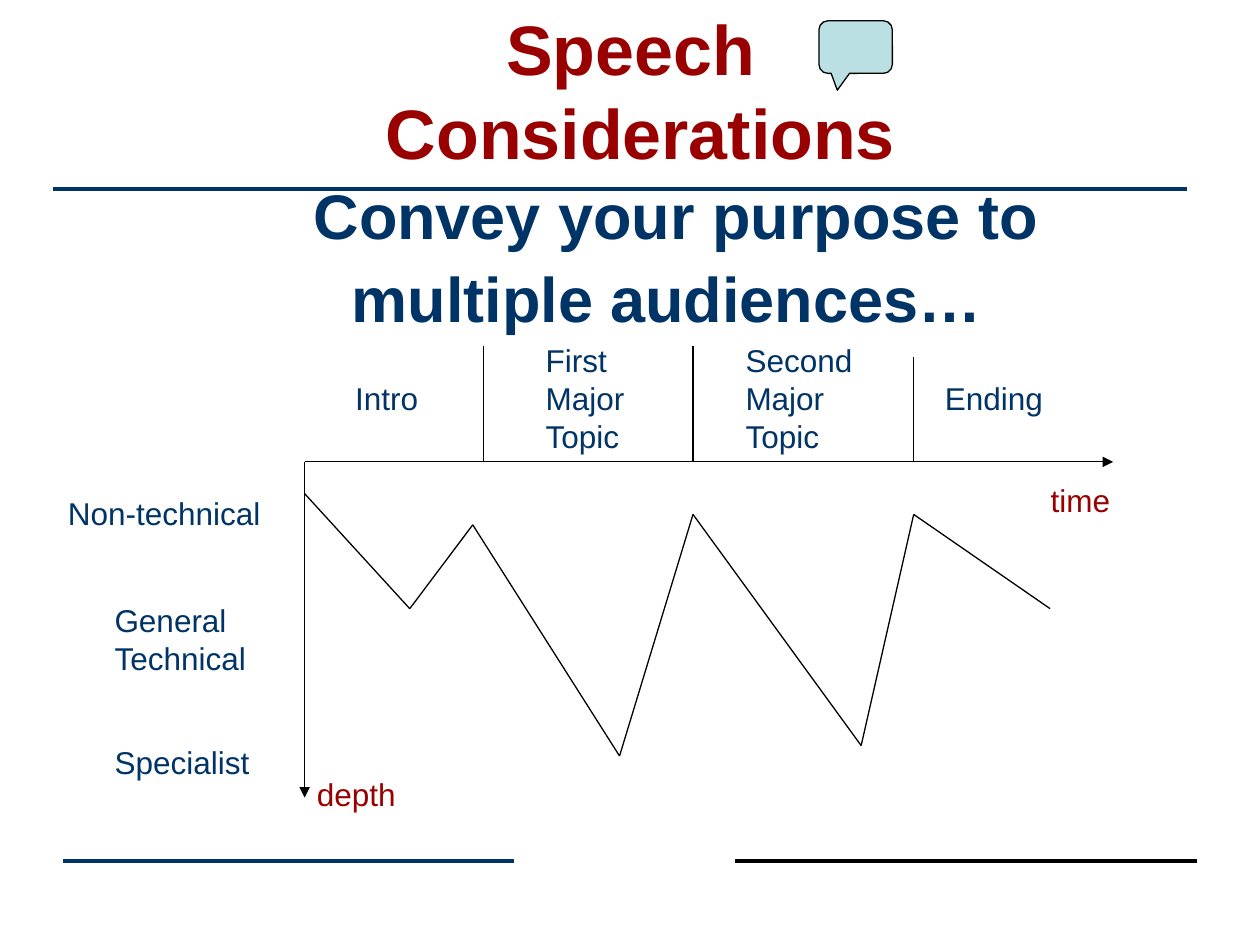
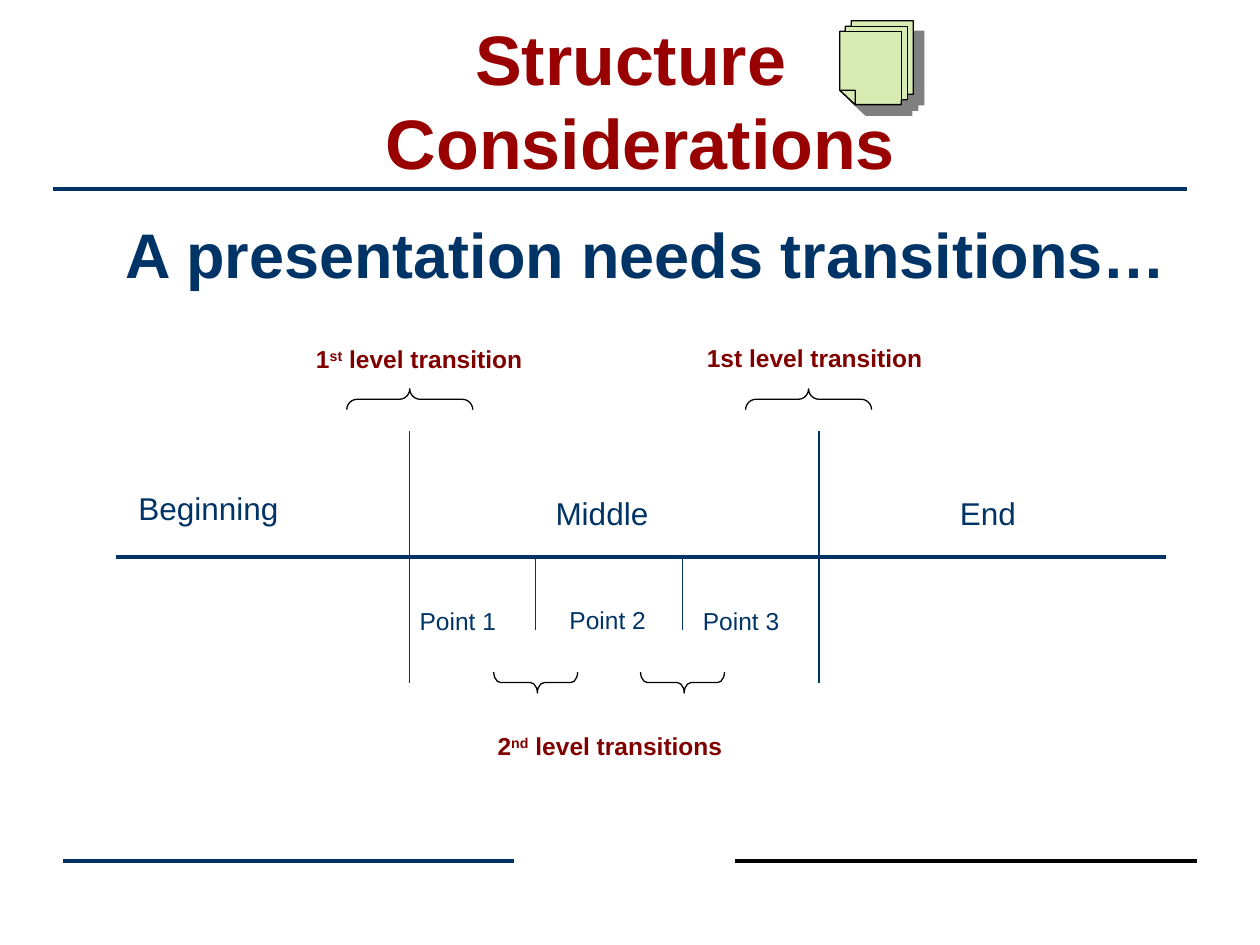
from itertools import pairwise

from lxml import etree
from pptx import Presentation
from pptx.dml.color import RGBColor
from pptx.enum import shapes, text
from pptx.oxml import ns
from pptx.util import Cm, Pt

NAVY = RGBColor(0x00, 0x33, 0x66)
RED = RGBColor(0x99, 0x00, 0x00)
MAROON = RGBColor(0x80, 0x00, 0x00)
BLACK = RGBColor(0x00, 0x00, 0x00)
AQUA = RGBColor(0xBB, 0xE0, 0xE3)
LIME = RGBColor(0xD8, 0xEB, 0xB3)
GREY = RGBColor(0x80, 0x80, 0x80)

FONT = "Arial"
TITLE = dict(size=Pt(40), bold=True, color=RED)
LEAD = dict(size=Pt(36), bold=True, color=NAVY)
LABEL = dict(size=Pt(18), color=NAVY)
AXIS = dict(size=Pt(18), color=RED)
POINT = dict(size=Pt(14), color=NAVY)
SHIFT = dict(size=Pt(14), bold=True, color=MAROON)


def sub(parent, tag, **attrs):
    return etree.SubElement(parent, ns.qn(tag), attrs)


def style(run, form):
    run.font.name = FONT
    for key, val in form.items():
        if key == "color":
            run.font.color.rgb = val
        else:
            setattr(run.font, key, val)


def fill_para(para, line, form):
    """Write one line; text between carets is raised."""
    for i, part in enumerate(line.split("^")):
        for j, row in enumerate(part.split("\n")):
            if j:
                para.add_line_break()
            run = para.add_run()
            run.text = row
            style(run, form)
            if i % 2:
                run._r.get_or_add_rPr().set("baseline", "30000")


def add_text(slide, box, lines, form, wrap=True, **para_form):
    frame = slide.shapes.add_textbox(*map(Cm, box)).text_frame
    frame.word_wrap = wrap
    for i, line in enumerate(lines):
        para = frame.add_paragraph() if i else frame.paragraphs[0]
        for key, val in para_form.items():
            if i or key != "space_before":
                setattr(para, key, val)
        fill_para(para, line, form)
    return frame


def add_label(slide, x, y, w, words, form):
    """Unwrapped text in a box that grows to hold it."""
    lines = words.split("\n")
    h = 0.25 + len(lines) * form["size"].cm * 1.2
    frame = add_text(slide, (x, y, w + 0.05, h), lines, form, wrap=False)
    frame.auto_size = text.MSO_AUTO_SIZE.SHAPE_TO_FIT_TEXT


def add_line(slide, start, end, color=BLACK, width=0.75, arrow=False):
    line = slide.shapes.add_connector(
        shapes.MSO_CONNECTOR.STRAIGHT, *map(Cm, (*start, *end)))
    line.line.color.rgb = color
    line.line.width = Pt(width)
    if arrow:
        sub(line.line._get_or_add_ln(), "a:tailEnd", type="triangle")
    sub(line._element.spPr, "a:effectLst")


def paint(shape, fill=None):
    shape.shadow.inherit = False
    if fill is None:
        shape.fill.background()
    else:
        shape.fill.solid()
        shape.fill.fore_color.rgb = fill
    shape.line.color.rgb = BLACK
    shape.line.width = Pt(0.75)


def add_frame(slide, title, top):
    """Title and the three rules that every slide has."""
    for left, right, y, color in ((1.06, 23.92, 3.81, NAVY),
                                  (1.27, 10.37, 17.36, NAVY),
                                  (14.82, 24.13, 17.36, BLACK)):
        add_line(slide, (left, y), (right, y), color, 2.25)
    frame = add_text(slide, (1.48, top, 22.86, 3.18), [title], TITLE,
                     alignment=text.PP_ALIGN.CENTER)
    frame.vertical_anchor = text.MSO_ANCHOR.MIDDLE


def add_lead(slide, box, lines, spacing=1.0):
    return add_text(slide, box, lines, LEAD, space_before=Pt(9),
                    alignment=text.PP_ALIGN.CENTER, line_spacing=spacing)


def add_bubble(slide, box):
    shape = slide.shapes.add_shape(
        shapes.MSO_SHAPE.ROUNDED_RECTANGULAR_CALLOUT, *map(Cm, box))
    for i, val in enumerate((-0.25, 0.82, 0.17)):
        shape.adjustments[i] = val
    paint(shape, AQUA)


def add_pages(slide, x, y):
    """Stack of three sheets with a folded corner and a shadow."""
    stack = [(0, 1.4), (0, 0.21), (0.11, 0.21), (0.11, 0.11), (0.23, 0.11),
             (0.23, 0), (1.48, 0), (1.48, 1.48), (1.36, 1.48), (1.36, 1.59),
             (1.24, 1.59), (1.24, 1.69), (0.31, 1.69)]
    edges = [(0.23, 0.11), (1.36, 0.11), (1.36, 1.59), (1.24, 1.59),
             (1.24, 0.21), (0.11, 0.21), (0.11, 0.11)]
    fold = [(0, 1.4), (0.31, 1.4), (0.31, 1.69)]
    for outline in (stack, edges, fold):
        first, *rest = [(Cm(x + dx), Cm(y + dy)) for dx, dy in outline]
        pen = slide.shapes.build_freeform(*first)
        pen.add_line_segments(rest, close=True)
        shape = pen.convert_to_shape()
        paint(shape, LIME)
        if outline is stack:
            effects = shape._element.spPr.find(ns.qn("a:effectLst"))
            shade = sub(effects, "a:outerShdw", dist=str(Pt(8.5)),
                        dir="2700000", algn="ctr", rotWithShape="0")
            sub(shade, "a:srgbClr", val=str(GREY))


def add_brace(slide, x, y, length, turn, curve, tip=0.5):
    """Brace lying on its side, centred on x, y."""
    thick = 0.42
    shape = slide.shapes.add_shape(
        shapes.MSO_SHAPE.LEFT_BRACE,
        *map(Cm, (x - thick / 2, y - length / 2, thick, length)))
    shape.rotation = turn
    shape.adjustments[0] = curve
    shape.adjustments[1] = tip
    paint(shape)


def add_depth(slide, box):
    """Time and depth axes with the curve of a talk."""
    x, y, w, h = box
    add_line(slide, (x, y), (x, y + h), arrow=True)
    add_line(slide, (x, y), (x + w, y), arrow=True)
    for dx, rise in ((3.6, 2.33), (7.83, 2.33), (12.28, 2.12)):
        add_line(slide, (x + dx, y), (x + dx, y - rise))
    curve = [(0, 0.64), (2.12, 2.96), (3.39, 1.27), (6.35, 5.93),
             (7.83, 1.06), (11.22, 5.72), (12.28, 1.06), (15.03, 2.96)]
    for start, end in pairwise((x + dx, y + dy) for dx, dy in curve):
        add_line(slide, start, end)
    for dx, dy, width, words, form in (
            (0.77, -1.79, 1.78, "Intro", LABEL),
            (4.61, -2.56, 2.08, "First\nMajor\nTopic", LABEL),
            (8.64, -2.56, 2.67, "Second\nMajor\nTopic", LABEL),
            (12.66, -1.79, 2.49, "Ending", LABEL),
            (-5.02, 0.52, 4.39, "Non-technical", LABEL),
            (-4.08, 2.68, 3.23, "General\nTechnical", LABEL),
            (-4.08, 5.55, 3.23, "Specialist", LABEL),
            (14.79, 0.26, 1.7, "time", AXIS),
            (0, 6.18, 2.08, "depth", AXIS)):
        add_label(slide, x + dx, y + dy, width, words, form)


def add_stages(slide, x, y, w):
    """Line of the talk's parts, with braces at the transitions."""
    add_line(slide, (x, y), (x + w, y), NAVY, 2.25)
    for dx, up, down in ((5.93, 2.54, 2.54), (14.18, 2.54, 2.54),
                         (8.47, 0, 1.48), (11.43, 0, 1.48)):
        add_line(slide, (x + dx, y - up), (x + dx, y + down), NAVY)
    for dx in (5.93, 13.97):
        add_brace(slide, x + dx, y - 3.17, 2.54, 90, 0.5)
    for dx in (8.47, 11.43):
        add_brace(slide, x + dx, y + 2.54, 1.69, 270, 0.33, 0.52)
    for dx, dy, width, words, form in (
            (0.21, -1.49, 3.33, "Beginning", LABEL),
            (8.62, -1.39, 2.36, "Middle", LABEL),
            (16.77, -1.39, 1.63, "End", LABEL),
            (5.88, 0.87, 2.03, "Point 1", POINT),
            (8.9, 0.85, 2.03, "Point 2", POINT),
            (11.59, 0.87, 2.03, "Point 3", POINT),
            (11.67, -4.44, 4.85, "1st level transition", SHIFT),
            (3.79, -4.41, 4.67, "1^st^ level transition", SHIFT),
            (7.45, 3.39, 5.03, "2^nd^ level transitions", SHIFT)):
        add_label(slide, x + dx, y + dy, width, words, form)


def speech(slide):
    add_frame(slide, "Speech \nConsiderations", 0.21)
    lead = add_lead(slide, (1.06, 3.6, 24.77, 3.6),
                    ["Convey your purpose to", "multiple audiences…"], 0.9)
    lead.paragraphs[0]._p.get_or_add_pPr().set("marL", str(Cm(0.36)))
    add_depth(slide, (6.14, 9.31, 16.3, 6.77))
    add_bubble(slide, (16.51, 0.42, 1.48, 1.06))


def structure(slide):
    add_frame(slide, "Structure \nConsiderations", 0.42)
    add_lead(slide, (0.64, 4.23, 24.77, 2.12),
             ["A presentation needs transitions…"])
    add_pages(slide, 16.93, 0.42)
    add_stages(slide, 2.33, 11.22, 21.17)


def main():
    deck = Presentation()
    deck.slide_width, deck.slide_height = Cm(25.4), Cm(19.05)
    for build in (speech, structure):
        build(deck.slides.add_slide(deck.slide_layouts[6]))
    deck.save("out.pptx")


if __name__ == "__main__":
    main()
